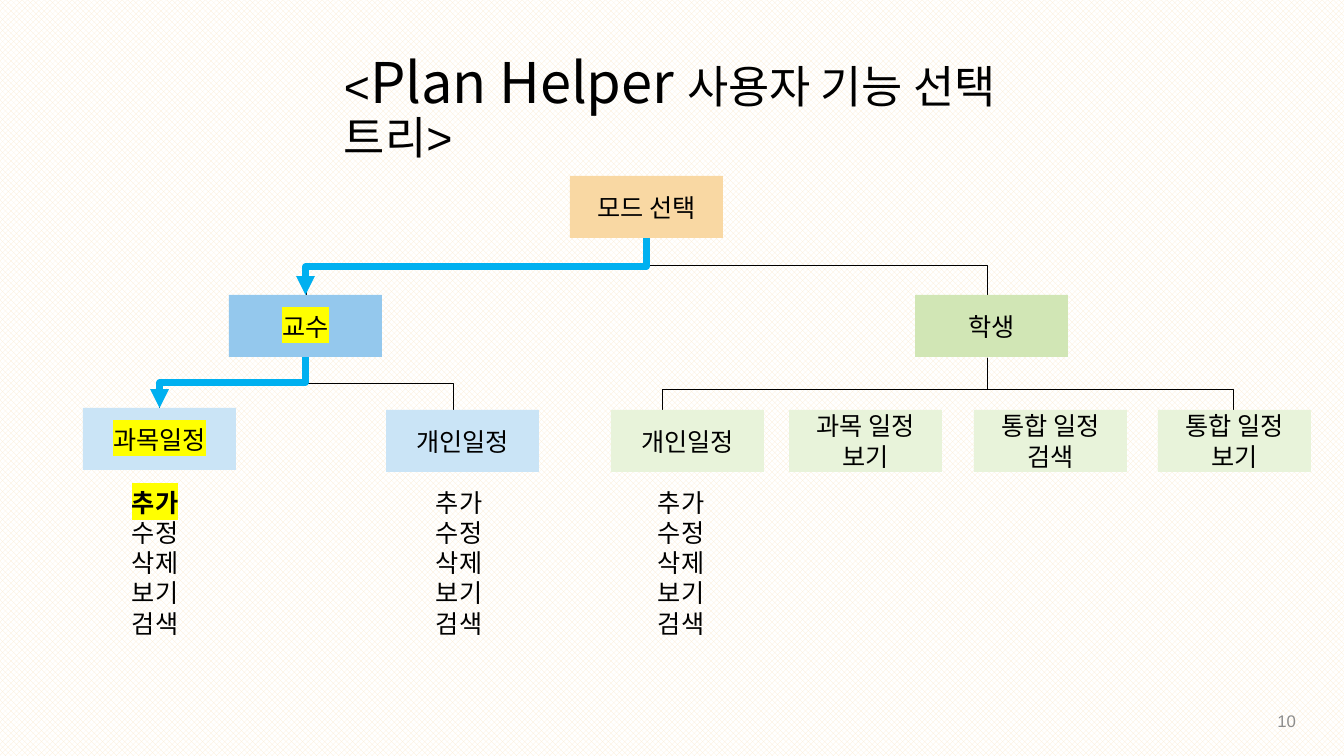
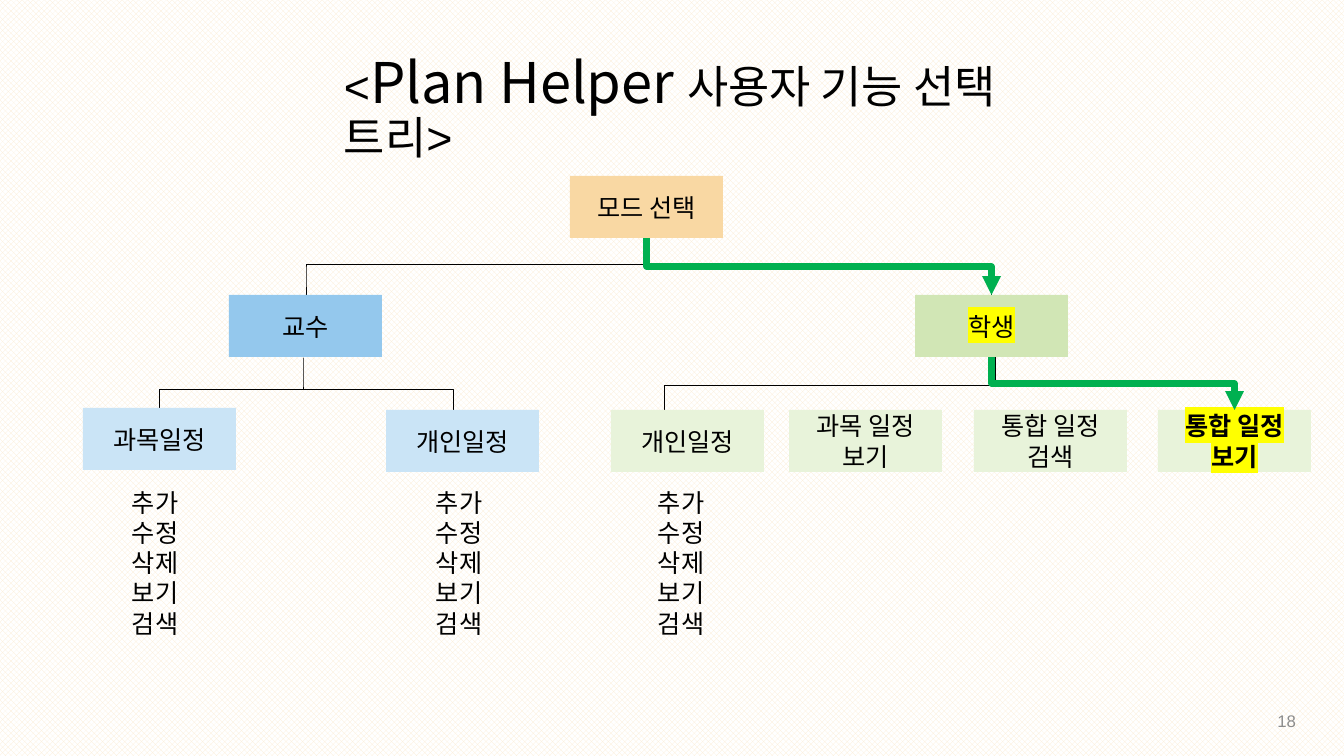
from itertools import pairwise

from lxml.etree import SubElement
from pptx import Presentation
from pptx.dml.color import RGBColor
from pptx.enum.dml import MSO_PATTERN
from pptx.enum.shapes import MSO_CONNECTOR, MSO_SHAPE
from pptx.enum.text import MSO_ANCHOR, PP_ALIGN
from pptx.oxml.ns import qn
from pptx.util import Pt

SLIDE_WIDTH, SLIDE_HEIGHT = 1344, 756
EMU_PER_PX = 12192000 / SLIDE_WIDTH
LATIN_FONT, KOREAN_FONT = "Arial", "Noto Sans CJK KR"
BLACK, GREY, YELLOW = "000000", "8C8C8C", "FFFF00"
BOX_WIDTH, BOX_HEIGHT = 153, 62
BRACE_HEIGHT = 62
ACTIONS = ["추가", "수정", "삭제", "보기", "검색"]
TITLE_RUNS = [("<", 32, LATIN_FONT), ("Plan Helper ", 40, KOREAN_FONT),
              ("사용자 기능 선택 트리>", 32, LATIN_FONT)]
BOXES = {
    "mode": (570, 176, "F9D8A3", ["모드 선택"]),
    "professor": (229, 295, "94C8ED", ["교수"]),
    "student": (915, 295, "D1E6B5", ["학생"]),
    "subject": (83, 408, "CAE4F6", ["과목일정"]),
    "personal": (386, 410, "CAE4F6", ["개인일정"]),
    "student personal": (611, 410, "E8F3DA", ["개인일정"]),
    "student subject": (789, 410, "E8F3DA", ["과목 일정", "보기"]),
    "search": (974, 410, "E8F3DA", ["통합 일정 검색"]),
    "overview": (1158, 410, "E8F3DA", ["통합 일정 보기"]),
}
ACTION_LISTS = {"subject": 122, "personal": 426, "student personal": 648}
TREES = [
    {"number": "10", "accent": "00B0F0",
     "route": ["mode", "professor", "subject"], "action": "추가",
     "braces": [(662, 358, 571, 0.57), (159, 352, 294, 0.49), (306, 234, 681, 0.5)]},
    {"number": "18", "accent": "00B050",
     "route": ["mode", "student", "overview"], "action": None,
     "braces": [(664, 354, 571, 0.58), (159, 358, 294, 0.49), (306, 233, 685, 0.5)]},
]


def px(length):
    """Turn pixels into EMU."""
    return round(length * EMU_PER_PX)


def color(value):
    """Turn a hex string into a colour."""
    return RGBColor.from_string(value)


def set_font(font, size, name=LATIN_FONT, ink=BLACK):
    """Set size, colour and the Latin and Korean typefaces of a font."""
    font.size = Pt(size)
    font.color.rgb = color(ink)
    font.name = name
    SubElement(font._rPr, qn("a:ea"), typeface=KOREAN_FONT)


def highlight(run, bold):
    """Mark a run in yellow."""
    run.font.bold = bold
    marker = SubElement(run.font._rPr, qn("a:highlight"))
    SubElement(marker, qn("a:srgbClr"), val=YELLOW)


def write_lines(frame, lines, size=18, align=PP_ALIGN.LEFT, ink=BLACK):
    """Write one paragraph a line and return the runs."""
    frame.word_wrap = True
    runs = []
    for index, line in enumerate(lines):
        paragraph = frame.add_paragraph() if index else frame.paragraphs[0]
        paragraph.alignment = align
        set_font(paragraph.font, size, ink=ink)
        run = paragraph.add_run()
        run.text = line
        runs.append(run)
    return runs


def add_text(slide, left, top, width, height):
    """Add a text box and return its frame."""
    return slide.shapes.add_textbox(px(left), px(top), px(width), px(height)).text_frame


def add_title(slide, left, top, width, height):
    """Add the title with its mixed sizes."""
    frame = add_text(slide, left, top, width, height)
    frame.word_wrap = True
    paragraph = frame.paragraphs[0]
    paragraph.line_spacing = 0.9
    for text, size, name in TITLE_RUNS:
        run = paragraph.add_run()
        run.text = text
        set_font(run.font, size, name)


def add_brace(slide, left, top, width, tip):
    """Add a square brace that opens downwards, its tip at a share of the width."""
    offset = (width - BRACE_HEIGHT) / 2
    brace = slide.shapes.add_shape(MSO_SHAPE.RIGHT_BRACE, px(left + offset), px(top - offset),
                                   px(BRACE_HEIGHT), px(width))
    brace.rotation = 270
    brace.adjustments[0] = 0
    brace.adjustments[1] = tip
    brace.shadow.inherit = False
    brace.fill.background()
    brace.line.color.rgb = color(BLACK)
    brace.line.width = Pt(0.5)


def add_box(slide, left, top, fill, lines, marked, bold):
    """Add one node of the tree."""
    box = slide.shapes.add_shape(MSO_SHAPE.RECTANGLE, px(left), px(top),
                                 px(BOX_WIDTH), px(BOX_HEIGHT))
    box.shadow.inherit = False
    box.fill.solid()
    box.fill.fore_color.rgb = color(fill)
    box.line.fill.background()
    box.text_frame.vertical_anchor = MSO_ANCHOR.MIDDLE
    for run in write_lines(box.text_frame, lines, align=PP_ALIGN.CENTER):
        if marked:
            highlight(run, bold)
    return box


def add_actions(slide, left, marked_action):
    """Add the list of actions under a node."""
    for run in write_lines(add_text(slide, left, 482, 174, 163), ACTIONS):
        if run.text == marked_action:
            highlight(run, True)


def add_arrow(slide, parent, child, accent):
    """Add an elbow arrow from the bottom of one node to the top of another."""
    start_x, start_y = parent.left + parent.width // 2, parent.top + parent.height
    end_x, end_y = child.left + child.width // 2, child.top
    arrow = slide.shapes.add_connector(MSO_CONNECTOR.ELBOW, start_x, start_y, end_x, end_y)
    arrow.begin_connect(parent, 2)
    arrow.end_connect(child, 0)
    drop, reach = end_y - start_y, abs(end_x - start_x)
    arrow.left = (start_x + end_x - drop) // 2
    arrow.top = (start_y + end_y - reach) // 2
    arrow.width, arrow.height = drop, reach
    properties = arrow._element.spPr
    transform = properties.find(qn("a:xfrm"))
    transform.attrib.clear()
    if end_x < start_x:
        transform.set("rot", "5400000")
    else:
        transform.set("rot", "16200000")
        transform.set("flipH", "1")
    arrow.line.color.rgb = color(accent)
    arrow.line.width = Pt(4.5)
    SubElement(properties.find(qn("a:ln")), qn("a:tailEnd"), type="triangle")
    SubElement(properties, qn("a:effectLst"))


def add_number(slide, number, left, top, width, height):
    """Add the slide number."""
    frame = add_text(slide, left, top, width, height)
    frame.vertical_anchor = MSO_ANCHOR.MIDDLE
    write_lines(frame, [number], 12, PP_ALIGN.RIGHT, GREY)


def add_tree_slide(presentation, number, accent, route, action, braces):
    """Add a slide with the tree and one route through it."""
    slide = presentation.slides.add_slide(presentation.slide_layouts[6])
    for brace in braces:
        add_brace(slide, *brace)
    boxes = {}
    for name, box in BOXES.items():
        is_goal = name == route[-1] and action is None
        boxes[name] = add_box(slide, *box, name in route[1:], is_goal)
    for name, left in ACTION_LISTS.items():
        add_actions(slide, left, action if name == route[-1] else None)
    add_title(slide, 334, 50, 708, 120)
    for parent, child in pairwise(route):
        add_arrow(slide, boxes[parent], boxes[child], accent)
    add_number(slide, number, 1004, 701, 302, 40)


def set_background(master):
    """Give every slide the diamond pattern."""
    fill = master.background.fill
    fill.patterned()
    fill.pattern = MSO_PATTERN.from_xml("openDmnd")
    fill.fore_color.rgb = color("FCEBD1")
    fill.back_color.rgb = color("FFFFFF")


def main():
    """Build the presentation."""
    presentation = Presentation()
    presentation.slide_width, presentation.slide_height = px(SLIDE_WIDTH), px(SLIDE_HEIGHT)
    set_background(presentation.slide_master)
    for tree in TREES:
        add_tree_slide(presentation, **tree)
    presentation.save("out.pptx")


if __name__ == "__main__":
    main()
